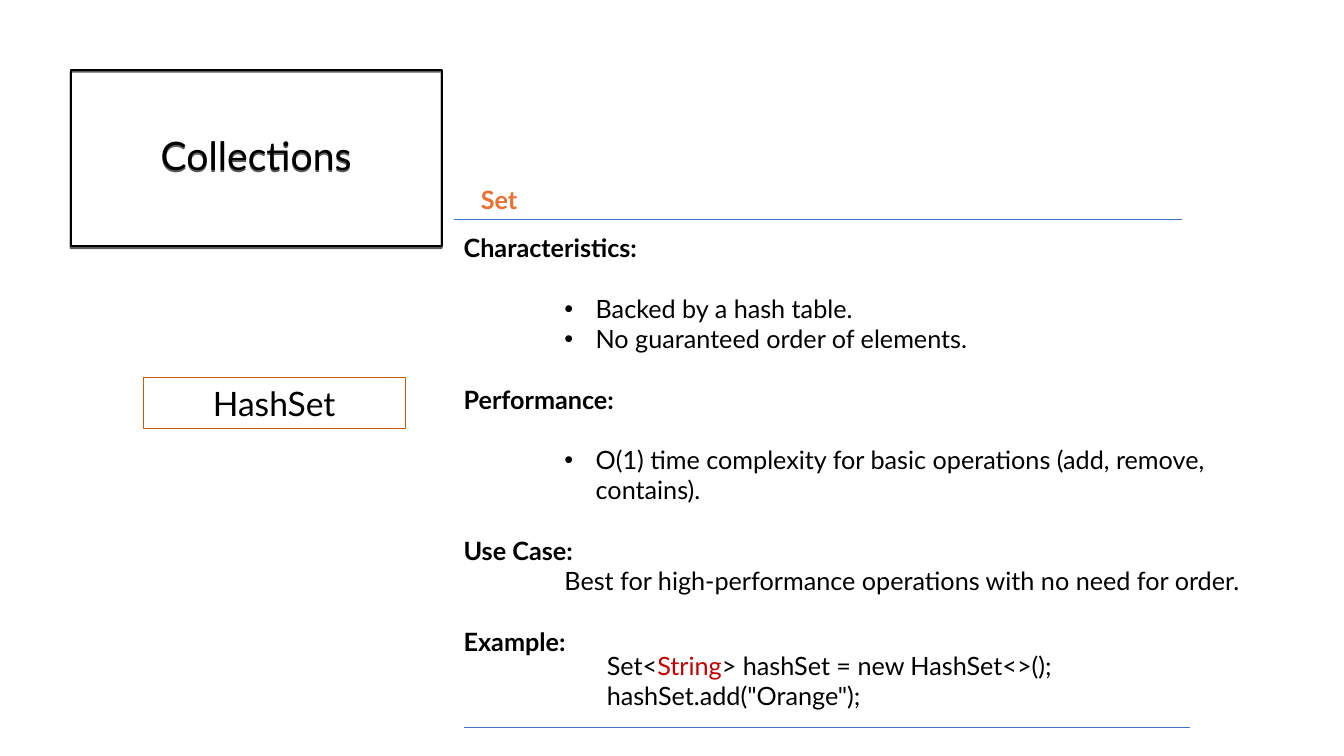
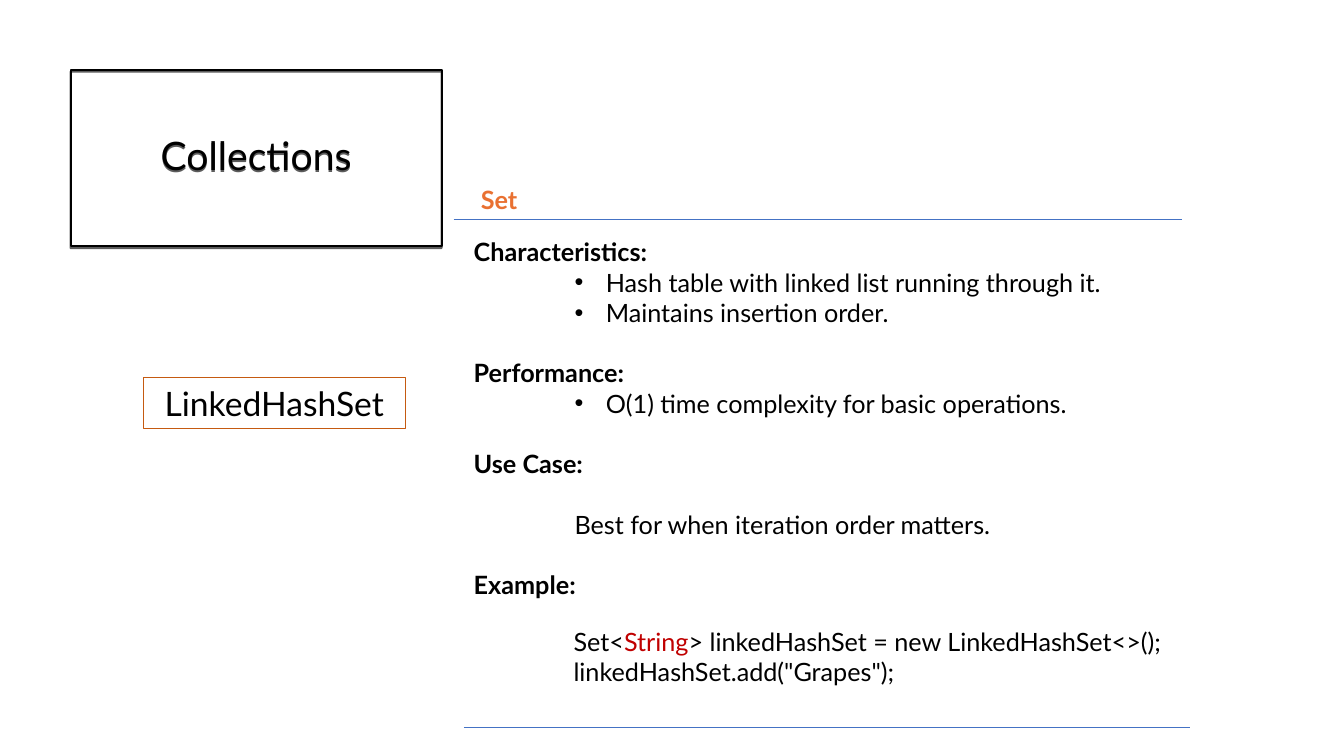
from lxml.etree import SubElement
from pptx import Presentation
from pptx.dml.color import RGBColor
from pptx.enum.shapes import MSO_CONNECTOR, MSO_SHAPE
from pptx.enum.text import MSO_ANCHOR, PP_ALIGN
from pptx.oxml.ns import qn
from pptx.util import Inches, Pt

FONT = "Lato"
BLACK, ORANGE, RUST, RED, BLUE = "000000", "E97132", "C55A11", "C00000", "4472C4"
LINE_HEIGHT = 21.6
INDENTS = {"head": (0, 0), "bullet": (1.31, -0.31), "plain": (1, 0)}


def color(value):
    return RGBColor.from_string(value)


def style(r, size=18, fill=BLACK, bold=False):
    r.font.name = FONT
    r.font.size = Pt(size)
    r.font.bold = bold
    r.font.color.rgb = color(fill)


def add_text(s, box):
    tf = s.shapes.add_textbox(*map(Inches, box)).text_frame
    tf.word_wrap = True
    return tf


def add_frame(s, box, text, size, line, width):
    sp = s.shapes.add_shape(MSO_SHAPE.RECTANGLE, *map(Inches, box))
    sp.shadow.inherit = False
    sp.fill.background()
    sp.line.color.rgb = color(line)
    sp.line.width = Pt(width)
    tf = sp.text_frame
    tf.word_wrap = True
    tf.vertical_anchor = MSO_ANCHOR.MIDDLE
    p = tf.paragraphs[0]
    p.text = text
    p.alignment = PP_ALIGN.CENTER
    style(p.runs[0], size)
    return sp


def add_title(s, box):
    sp = add_frame(s, box, "Collections", 28, BLACK, 1.5)
    sp.text_frame.paragraphs[0].line_spacing = 0.9
    effects = sp._element.spPr.find(qn("a:effectLst"))
    shadow = SubElement(effects, qn("a:outerShdw"), dist=str(Pt(1.5)),
                        dir="5400000", algn="ctr", rotWithShape="0")
    tint = SubElement(shadow, qn("a:srgbClr"), val=BLACK)
    SubElement(tint, qn("a:alpha"), val="63000")


def add_rule(s, left, top, width):
    rule = s.shapes.add_connector(MSO_CONNECTOR.STRAIGHT, Inches(left), Inches(top),
                                  Inches(left + width), Inches(top))
    rule.line.color.rgb = color(BLUE)
    rule.line.width = Pt(0.5)
    SubElement(rule._element.spPr, qn("a:effectLst"))


def add_body(s, box, items):
    tf = add_text(s, box)
    for i, (kind, gap, text) in enumerate(items):
        p = tf.paragraphs[0] if i == 0 else tf.add_paragraph()
        p.text = text
        margin, indent = INDENTS[kind]
        pPr = p._p.get_or_add_pPr()
        pPr.set("marL", str(Inches(margin)))
        pPr.set("indent", str(Inches(indent)))
        if kind == "bullet":
            SubElement(pPr, qn("a:buFont"), typeface="Arial")
            SubElement(pPr, qn("a:buChar"), char="•")
        if gap:
            p.space_before = Pt(LINE_HEIGHT)
        style(p.runs[0], bold=kind == "head")


def add_code(s, box, declaration, call):
    tf = add_text(s, box)
    p = tf.paragraphs[0]
    for text, fill in (("Set<", BLACK), ("String", RED), (declaration, BLACK)):
        r = p.add_run()
        r.text = text
        style(r, fill=fill)
    p = tf.add_paragraph()
    p.text = call
    style(p.runs[0])


def add_set_slide(prs, name, body_box, items, code_box, code):
    s = prs.slides.add_slide(prs.slide_layouts[6])
    add_title(s, (0.7, 0.69, 3.68, 1.75))
    add_rule(s, 4.5, 2.18, 7.22)
    add_rule(s, 4.6, 7.22, 7.2)
    tf = add_text(s, (4.67, 1.78, 2.51, 0.4))
    tf.text = "Set"
    style(tf.paragraphs[0].runs[0], fill=ORANGE, bold=True)
    add_frame(s, (1.42, 3.75, 2.6, 0.5), name, 24, RUST, 0.75)
    add_body(s, body_box, items)
    add_code(s, code_box, *code)


def main():
    prs = Presentation()
    prs.slide_width, prs.slide_height = Inches(13.33), Inches(7.5)
    add_set_slide(
        prs, "HashSet", (4.5, 2.26, 8.4, 4.04),
        [("head", False, "Characteristics:"),
         ("bullet", True, "Backed by a hash table."),
         ("bullet", False, "No guaranteed order of elements."),
         ("head", True, "Performance:"),
         ("bullet", True, "O(1) time complexity for basic operations (add, remove, contains)."),
         ("head", True, "Use Case:"),
         ("plain", False, "Best for high-performance operations with no need for order."),
         ("head", True, "Example:")],
        (5.92, 6.4, 6.67, 0.71),
        ("> hashSet = new HashSet<>();", 'hashSet.add("Orange");'))
    add_set_slide(
        prs, "LinkedHashSet", (4.6, 2.3, 7.31, 3.74),
        [("head", False, "Characteristics:"),
         ("bullet", False, "Hash table with linked list running through it."),
         ("bullet", False, "Maintains insertion order."),
         ("head", True, "Performance:"),
         ("bullet", False, "O(1) time complexity for basic operations."),
         ("head", True, "Use Case:"),
         ("plain", True, "Best for when iteration order matters."),
         ("head", True, "Example:")],
        (5.59, 6.16, 6.67, 0.71),
        ("> linkedHashSet = new LinkedHashSet<>();", 'linkedHashSet.add("Grapes");'))
    prs.save("out.pptx")


if __name__ == "__main__":
    main()
